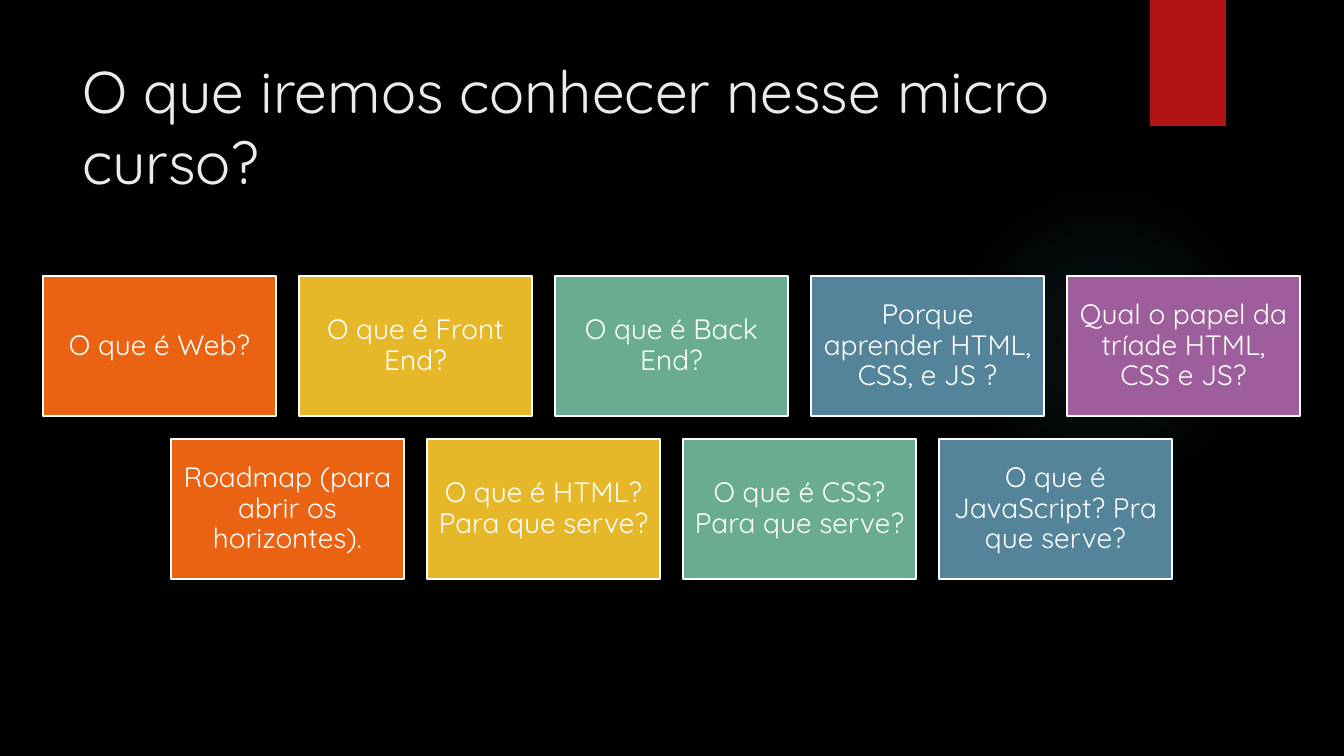
"""Build the slide that lists the topics of the micro course."""
from dataclasses import dataclass

from lxml import etree
from pptx import Presentation
from pptx.dml.color import RGBColor
from pptx.enum.shapes import MSO_SHAPE
from pptx.enum.text import MSO_ANCHOR, MSO_AUTO_SIZE, PP_ALIGN
from pptx.oxml import parse_xml
from pptx.oxml.ns import nsdecls, qn
from pptx.util import Emu, Pt

HEADING = "O que iremos conhecer nesse micro curso?"
TOPIC_ROWS = [
    [
        "O que é Web?",
        "O que é Front End?",
        "O que é Back End?",
        "Porque aprender HTML, CSS, e JS ?",
        "Qual o papel da tríade HTML, CSS e JS?",
    ],
    [
        "Roadmap (para abrir os horizontes).",
        "O que é HTML? Para que serve?",
        "O que é CSS? Para que serve?",
        "O que é JavaScript? Pra que serve?",
    ],
]


@dataclass(frozen=True)
class Theme:
    font: str = "Quicksand"
    heading_size: int = 42
    topic_size: int = 20
    background: str = "000000"
    heading: str = "EBEBEB"
    white: str = "FFFFFF"
    ribbon: str = "B01513"
    glow: str = "50B9C1"
    tiles: tuple = ("EA6312", "E6B729", "6AAC90", "54849A", "9E5E9B")


THEME = Theme()
SLIDE_W, SLIDE_H = 1344, 756
HEADING_BOX = (72, 50, 1037, 154)
GLOW_BOX = (949, 184, 310, 310)
RIBBON_BOX = (1150, 0, 76, 126)
TILE_W, TILE_H, TILE_GAP, TILE_INSET = 233, 140, 23, 8
ROWS_TOP = 276
GLOW_STOPS = [(0, 7), (36, 6), (69, 0)]


def px(length):
    return Emu(round(length * 12192000 / SLIDE_W))


def rgb(value):
    return RGBColor.from_string(value)


def add_block(slide, preset, box, color):
    block = slide.shapes.add_shape(preset, *map(px, box))
    block.shadow.inherit = False
    block.fill.solid()
    block.fill.fore_color.rgb = rgb(color)
    block.line.fill.background()
    return block


def style_text(frame, size, color):
    frame.word_wrap = True
    frame.auto_size = MSO_AUTO_SIZE.NONE
    font = frame.paragraphs[0].runs[0].font
    font.name = THEME.font
    font.size = Pt(size)
    font.color.rgb = rgb(color)


def add_glow(slide):
    glow = add_block(slide, MSO_SHAPE.OVAL, GLOW_BOX, THEME.glow)
    stops = "".join(
        f'<a:gs pos="{pos * 1000}"><a:srgbClr val="{THEME.glow}">'
        f'<a:alpha val="{alpha * 1000}"/></a:srgbClr></a:gs>'
        for pos, alpha in GLOW_STOPS
    )
    gradient = parse_xml(
        f'<a:gradFill {nsdecls("a")}><a:gsLst>{stops}</a:gsLst><a:path path="circle">'
        '<a:fillToRect l="50000" t="50000" r="50000" b="50000"/></a:path></a:gradFill>'
    )
    properties = glow.element.spPr
    properties.replace(properties.find(qn("a:solidFill")), gradient)


def add_ribbon(slide):
    ribbon = add_block(slide, MSO_SHAPE.RECTANGLE, RIBBON_BOX, THEME.ribbon)
    shadow = etree.SubElement(
        ribbon.element.spPr.find(qn("a:effectLst")), qn("a:outerShdw"),
        blurRad=str(Pt(3)), dist=str(Pt(2)), dir="5400000", rotWithShape="0",
    )
    tint = etree.SubElement(shadow, qn("a:srgbClr"), val="000000")
    etree.SubElement(tint, qn("a:alpha"), val="45000")
    return ribbon


def set_heading(heading):
    heading.left, heading.top, heading.width, heading.height = map(px, HEADING_BOX)
    frame = heading.text_frame
    frame.text = HEADING
    frame.vertical_anchor = MSO_ANCHOR.TOP
    frame.paragraphs[0].alignment = PP_ALIGN.LEFT
    style_text(frame, THEME.heading_size, THEME.heading)


def add_topic(slide, topic, left, top, color):
    tile = add_block(slide, MSO_SHAPE.RECTANGLE, (left, top, TILE_W, TILE_H), color)
    tile.line.color.rgb = rgb(THEME.white)
    tile.line.width = Pt(1.5)
    frame = tile.text_frame
    frame.text = topic
    frame.vertical_anchor = MSO_ANCHOR.MIDDLE
    frame.margin_left = frame.margin_right = px(TILE_INSET)
    frame.margin_top = frame.margin_bottom = px(TILE_INSET)
    frame.paragraphs[0].alignment = PP_ALIGN.CENTER
    frame.paragraphs[0].line_spacing = 0.9
    style_text(frame, THEME.topic_size, THEME.white)


def main():
    deck = Presentation()
    deck.slide_width, deck.slide_height = px(SLIDE_W), px(SLIDE_H)
    slide = deck.slides.add_slide(deck.slide_layouts[5])
    slide.background.fill.solid()
    slide.background.fill.fore_color.rgb = rgb(THEME.background)

    add_glow(slide)
    ribbon = add_ribbon(slide)
    heading = slide.shapes.title
    set_heading(heading)
    ribbon.element.addnext(heading.element)

    for row, topics in enumerate(TOPIC_ROWS):
        row_width = len(topics) * (TILE_W + TILE_GAP) - TILE_GAP
        row_left = (SLIDE_W - row_width) // 2
        top = ROWS_TOP + row * (TILE_H + TILE_GAP)
        for column, (topic, color) in enumerate(zip(topics, THEME.tiles)):
            add_topic(slide, topic, row_left + column * (TILE_W + TILE_GAP), top, color)

    deck.save("out.pptx")


if __name__ == "__main__":
    main()
